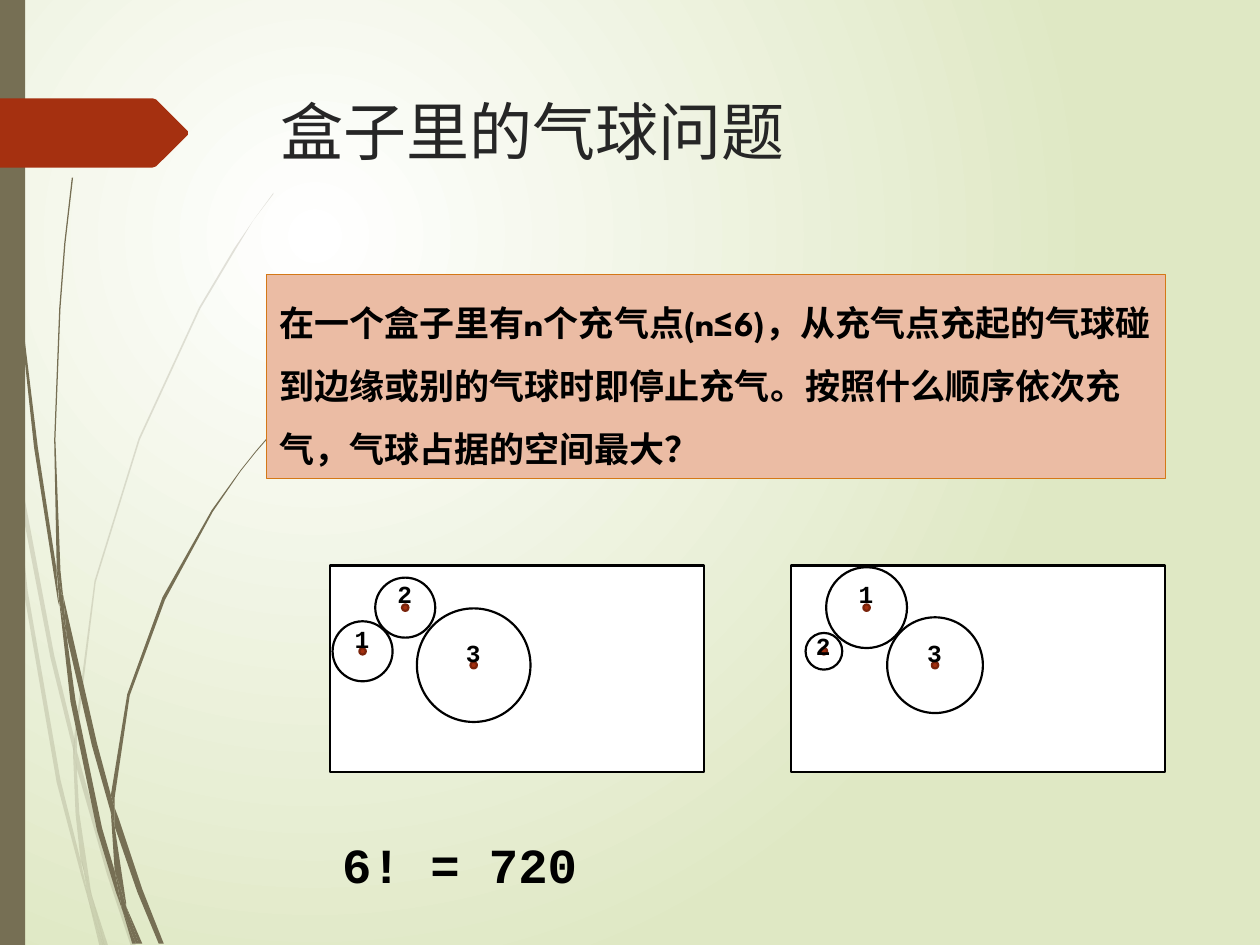
from lxml.etree import SubElement
from pptx import Presentation
from pptx.dml.color import RGBColor
from pptx.enum.shapes import MSO_SHAPE as Shape
from pptx.enum.text import MSO_ANCHOR as Anchor, MSO_AUTO_SIZE as Fit, PP_ALIGN as Align
from pptx.oxml.ns import qn
from pptx.util import Cm, Pt

BLACK = RGBColor(0x00, 0x00, 0x00)
WHITE = RGBColor(0xFF, 0xFF, 0xFF)
INK = RGBColor(0x26, 0x26, 0x26)
PALE_GREEN = RGBColor(0xDF, 0xE8, 0xC4)
OLIVE = RGBColor(0x76, 0x6F, 0x54)
RUST = RGBColor(0xA5, 0x30, 0x10)
DARK_RUST = RGBColor(0x7A, 0x24, 0x0C)
SALMON = RGBColor(0xEB, 0xBC, 0xA4)
ORANGE = RGBColor(0xD4, 0x78, 0x17)
SANS, MONO = "League Spartan", "Courier New"

FAINT_WISPS = [
    [(8, 350), (6, 322), (0, 282), (0, 299), (7, 344)],
    [(40, 522), (59, 599), (59, 586), (43, 520), (10, 345), (12, 376)],
    [(64, 607), (61, 596), (61, 610), (85, 694), (104, 751), (108, 751), (88, 692)],
    [(83, 751), (86, 751), (73, 711)],
    [(64, 683), (48, 619), (22, 469), (12, 376), (8, 350), (19, 470), (45, 621),
     (64, 693), (70, 714), (69, 707)],
    [(58, 599), (60, 646), (64, 683), (67, 692), (73, 711), (72, 706), (63, 646),
     (61, 610), (61, 608)],
    [(61, 584), (76, 462), (111, 349), (159, 245), (187, 198), (201, 175), (217, 154),
     (217, 153), (201, 175), (186, 197), (158, 244), (110, 348), (75, 461), (59, 584),
     (59, 586), (61, 596)],
    [(70, 714), (79, 751), (82, 751)],
    [(61, 608), (61, 610), (61, 596), (59, 586), (58, 599)],
    [(67, 692), (65, 683), (69, 707), (70, 714), (82, 751), (83, 751), (73, 711)],
]
DARK_WISPS = [
    [(5, 110), (14, 233), (27, 355), (46, 477), (47, 481), (45, 457), (45, 453),
     (30, 355), (15, 232), (6, 109), (4, 48), (3, 0), (2, 0), (3, 48)],
    [(73, 592), (88, 645), (88, 633), (88, 631), (77, 590), (50, 472), (53, 505)],
    [(94, 649), (91, 641), (91, 656), (109, 708), (126, 749), (130, 749), (113, 706)],
    [(91, 691), (81, 657), (60, 556), (53, 505), (47, 477), (56, 557), (77, 659),
     (92, 708), (97, 722), (96, 717)],
    [(50, 472), (48, 453), (44, 349), (48, 245), (52, 193), (58, 141), (57, 141),
     (51, 193), (47, 245), (43, 349), (45, 449), (49, 472)],
    [(110, 749), (113, 749), (100, 719)],
    [(47, 477), (53, 505), (50, 472), (49, 472), (45, 449), (45, 453)],
    [(91, 633), (103, 552), (131, 476), (169, 406), (191, 374), (203, 359), (216, 344),
     (215, 344), (203, 358), (191, 373), (168, 405), (129, 474), (101, 551), (88, 631),
     (91, 641)],
    [(97, 722), (105, 749), (108, 749)],
    [(88, 645), (91, 691), (96, 706), (100, 719), (100, 716), (91, 656), (90, 651)],
    [(88, 645), (90, 651), (91, 656), (91, 641), (88, 631), (88, 633)],
    [(96, 706), (91, 691), (96, 717), (97, 722), (108, 749), (110, 749), (100, 719)],
]
ARROW = [(0, 78), (121, 78), (124, 79), (149, 104), (149, 107), (124, 132), (121, 133), (0, 133)]

BOX_TOP, BOX_SIZE = 11.4, (7.54, 4.17)
POINTS = [(1.52, 0.85), (0.66, 1.73), (2.9, 2.01)]
BOXES = [
    (6.65, [("2", 1.21, 0.27), ("1", 1.21, 0.25), ("3", 2.29, 0.25)]),
    (15.95, [("1", 1.63, 0.27), ("2", 0.74, 0.1), ("3", 1.93, 0.25)]),
]


def write(frame, text, size=14, font=MONO, color=BLACK, bold=True, spacing=None):
    """Put one left-aligned, top-anchored paragraph in a text frame."""
    frame.vertical_anchor = Anchor.TOP
    para = frame.paragraphs[0]
    para.alignment = Align.LEFT
    para.line_spacing = spacing
    span = para.add_run()
    span.text = text
    span.font.size, span.font.name, span.font.bold = Pt(size), font, bold
    span.font.color.rgb = color


class Painter:
    """Hold the style and the current slide, and draw each kind of element."""

    def __init__(self, page, line_width=1.25):
        self.page = page
        self.line_width = Pt(line_width)

    def style(self, shape, fill, line, width=None):
        shape.shadow.inherit = False
        if fill is None:
            shape.fill.background()
        else:
            shape.fill.solid()
            shape.fill.fore_color.rgb = fill
        if line is None:
            shape.line.fill.background()
        else:
            shape.line.color.rgb = line
            shape.line.width = width or self.line_width
        return shape

    def backdrop(self, center, edge):
        fill = self.page.background.fill
        fill.gradient()
        for stop, color in zip(fill.gradient_stops, (center, edge)):
            stop.color.rgb = color
        gradient = next(self.page.element.iter(qn("a:gradFill")))
        gradient.remove(gradient.find(qn("a:lin")))
        glow = SubElement(gradient, qn("a:path"), path="circle")
        SubElement(glow, qn("a:fillToRect"), l="50000", t="50000", r="100000", b="100000")

    def outline(self, points, fill, opacity=100):
        builder = self.page.shapes.build_freeform(*points[0], scale=Cm(2.54) / 100)
        builder.add_line_segments(points[1:])
        shape = self.style(builder.convert_to_shape(), fill, None)
        if opacity < 100:
            color = next(shape.element.spPr.iter(qn("a:srgbClr")))
            SubElement(color, qn("a:alpha"), val=str(opacity * 1000))

    def rectangle(self, left, top, width, height, fill, line=None, line_width=None):
        place = map(Cm, (left, top, width, height))
        shape = self.page.shapes.add_shape(Shape.RECTANGLE, *place)
        return self.style(shape, fill, line, line_width)

    def circle(self, x, y, diameter, fill=None, line=BLACK):
        corner = Cm(x - diameter / 2), Cm(y - diameter / 2)
        shape = self.page.shapes.add_shape(Shape.OVAL, *corner, Cm(diameter), Cm(diameter))
        self.style(shape, fill, line)

    def label(self, left, top, width, height, text, **look):
        box = self.page.shapes.add_textbox(*map(Cm, (left, top, width, height)))
        box.text_frame.word_wrap = False
        box.text_frame.auto_size = Fit.SHAPE_TO_FIT_TEXT
        write(box.text_frame, text, **look)

    def title(self, left, top, width, height, text, **look):
        box = self.page.shapes.title
        box.left, box.top, box.width, box.height = map(Cm, (left, top, width, height))
        box.text_frame.auto_size = Fit.NONE
        write(box.text_frame, text, **look)

    def balloon_box(self, left, balloons):
        self.rectangle(left, BOX_TOP, *BOX_SIZE, WHITE, BLACK)
        centers = [(left + x, BOX_TOP + y) for x, y in POINTS]
        for x, y in centers:
            self.circle(x, y, 0.13, RUST, DARK_RUST)
        for (x, y), (number, diameter, lift) in zip(centers, balloons):
            self.circle(x, y, diameter)
            self.label(x - 0.41, y - lift - 0.43, 0.82, 0.86, number)


def main():
    deck = Presentation()
    deck.slide_width, deck.slide_height = Cm(25.4), Cm(19.05)
    painter = Painter(deck.slides.add_slide(deck.slide_layouts[5]))
    painter.backdrop(WHITE, PALE_GREEN)
    for wisp in FAINT_WISPS:
        painter.outline(wisp, OLIVE, opacity=20)
    for wisp in DARK_WISPS:
        painter.outline(wisp, OLIVE)
    painter.rectangle(0, 0, 0.51, 19.05, OLIVE)
    painter.outline(ARROW, RUST)
    for left, balloons in BOXES:
        painter.balloon_box(left, balloons)
    problem = painter.rectangle(5.38, 5.54, 18.11, 4.11, SALMON, ORANGE, Pt(0.75))
    problem.text_frame.word_wrap = True
    write(
        problem.text_frame,
        "在一个盒子里有n个充气点(n≤6)，从充气点充起的气球碰到边缘或别的气球时即停止充气。"
        "按照什么顺序依次充气，气球占据的空间最大？",
        size=20, font=SANS, spacing=1.5,
    )
    painter.label(6.65, 16.69, 5.28, 1.45, "6! = 720", size=28)
    painter.title(5.41, 1.73, 18.31, 3.56, "盒子里的气球问题",
                  size=36, font=SANS, color=INK, bold=False)
    deck.save("out.pptx")


if __name__ == "__main__":
    main()
